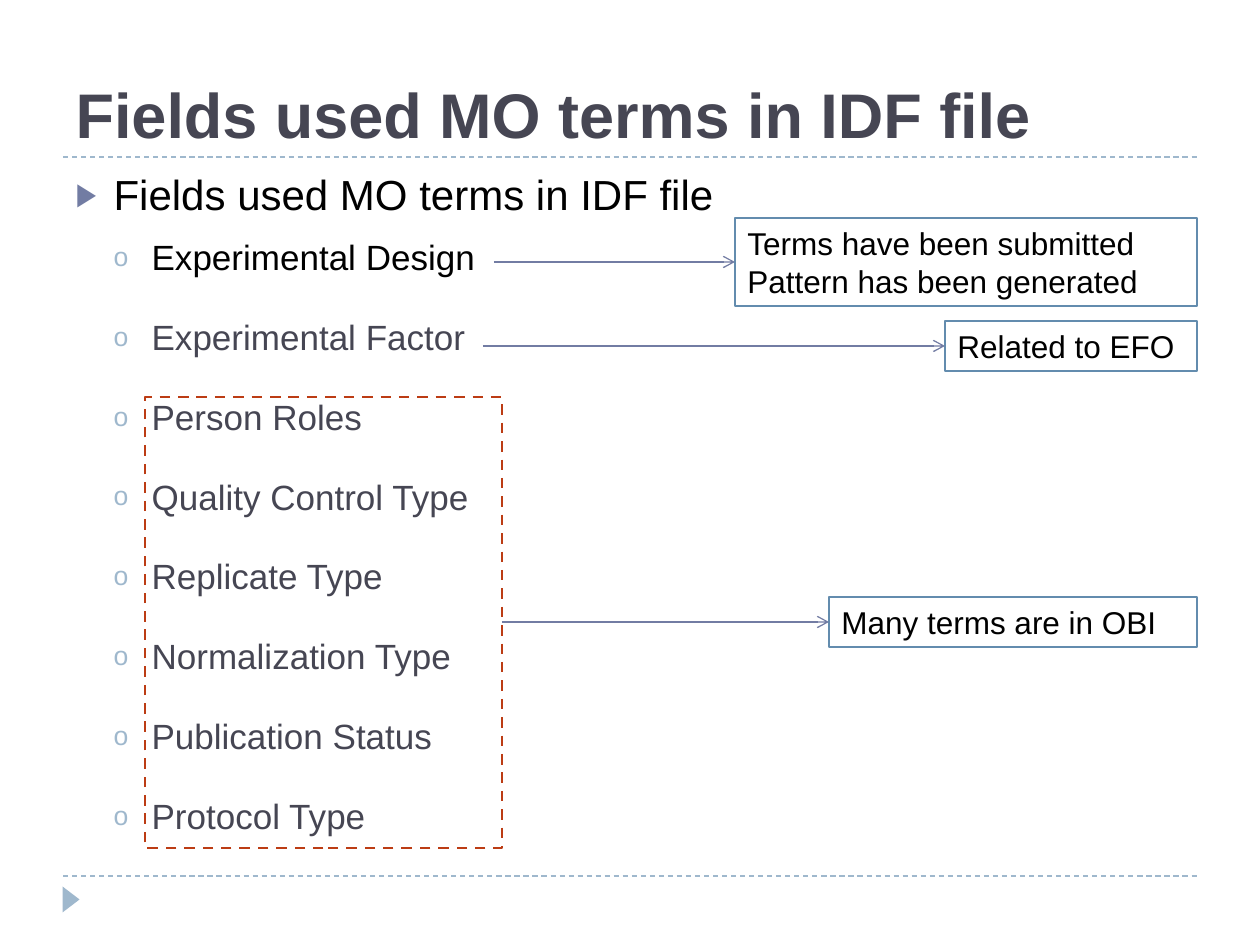
from lxml import etree
from pptx import Presentation
from pptx.dml.color import RGBColor
from pptx.enum.dml import MSO_LINE
from pptx.enum.shapes import MSO_CONNECTOR, MSO_SHAPE
from pptx.enum.text import MSO_ANCHOR, MSO_AUTO_SIZE, PP_ALIGN
from pptx.oxml.ns import qn
from pptx.util import Emu, Pt

PX = 914400 / 126
LEFT, RIGHT = 63, 1197
INK, BLACK, BLUE, PALE = "464653", "000000", "727CA3", "9FB8CD"
FIELDS = ["Experimental Design", "Experimental Factor", "Person Roles",
          "Quality Control Type", "Replicate Type", "Normalization Type",
          "Publication Status", "Protocol Type"]
# note lines, box left, top, height, arrow start
NOTES = [
    (["Many terms are in OBI"], 829, 597, 50, 502),
    (["Terms have been submitted", "Pattern has been generated"], 735, 218, 88, 494),
    (["Related to EFO"], 945, 321, 50, 483),
]


def px(n):
    return Emu(round(n * PX))


def rgb(color):
    return RGBColor.from_string(color)


def place(shape, x, y, w, h):
    shape.left, shape.top, shape.width, shape.height = map(px, (x, y, w, h))


def format_text(p, size, color, bold=False):
    p.alignment = PP_ALIGN.LEFT
    for r in p.runs:
        r.font.name, r.font.size, r.font.bold = "Arial", Pt(size), bold
        r.font.color.rgb = rgb(color)


def set_bullet(p, char, color, indent):
    """Give the paragraph a hanging bullet at 76% of the text size."""
    pPr = p._p.get_or_add_pPr()
    pPr.set("marL", str(px(indent)))
    pPr.set("indent", str(px(-38)))
    clr = etree.SubElement(pPr, qn("a:buClr"))
    etree.SubElement(clr, qn("a:srgbClr"), val=color)
    etree.SubElement(pPr, qn("a:buSzPct"), val="76000")
    etree.SubElement(pPr, qn("a:buFont"), typeface="Arial")
    etree.SubElement(pPr, qn("a:buChar"), char=char)


def add_line(s, x1, x2, y, color):
    line = s.shapes.add_connector(MSO_CONNECTOR.STRAIGHT, px(x1), px(y), px(x2), px(y))
    line.line.color.rgb = rgb(color)
    line.line.width = Pt(0.75)
    etree.SubElement(line._element.spPr, qn("a:effectLst"))
    return line


def add_rule(s, y):
    add_line(s, LEFT, RIGHT, y, PALE).line.dash_style = MSO_LINE.DASH


def add_arrow(s, x1, x2, y):
    line = add_line(s, x1, x2, y, BLUE)
    etree.SubElement(line.line._get_or_add_ln(), qn("a:tailEnd"), type="arrow")


def add_shape(s, kind, x, y, w, h):
    sp = s.shapes.add_shape(kind, px(x), px(y), px(w), px(h))
    sp.shadow.inherit = False
    return sp


def add_frame(s, x, y, w, h, color, width):
    sp = add_shape(s, MSO_SHAPE.RECTANGLE, x, y, w, h)
    sp.fill.background()
    sp.line.color.rgb = rgb(color)
    sp.line.width = Pt(width)
    return sp


def add_note(s, lines, x, y, h, start):
    """Add a boxed note with an arrow leading to its left edge."""
    tf = add_frame(s, x, y, RIGHT - x, h, "638CAE", 0.75).text_frame
    tf.word_wrap = True
    tf.vertical_anchor = MSO_ANCHOR.TOP
    tf.text = "\n".join(lines)
    for p in tf.paragraphs:
        format_text(p, 18, BLACK)
    add_arrow(s, start, x, y + h / 2)


def add_corner_marker(s):
    sp = add_shape(s, MSO_SHAPE.ISOSCELES_TRIANGLE, 58, 891, 26, 17)
    sp.rotation = 90
    sp.fill.solid()
    sp.fill.fore_color.rgb = rgb(PALE)
    sp.line.fill.background()


def fill_title(title, text):
    place(title, LEFT, 21, RIGHT - LEFT, 136)
    tf = title.text_frame
    tf.text = text
    tf.auto_size = MSO_AUTO_SIZE.NONE
    tf.vertical_anchor = MSO_ANCHOR.BOTTOM
    format_text(tf.paragraphs[0], 36, INK, bold=True)


def fill_list(body, heading, items):
    place(body, LEFT, 168, RIGHT - LEFT, 703)
    tf = body.text_frame
    tf.text = "\n".join([heading, *items])
    tf.auto_size = MSO_AUTO_SIZE.NONE
    for i, p in enumerate(tf.paragraphs):
        if i == 0:
            set_bullet(p, "▶", BLUE, 38)
            p.space_before = Pt(0)
        else:
            p.level = 1
            set_bullet(p, "o", PALE, 76)
            p.space_before = p.space_after = Pt(12)
        p.line_spacing = 0.9
        format_text(p, 20 if i else 24, INK if i > 1 else BLACK)


def main():
    prs = Presentation()
    prs.slide_width, prs.slide_height = px(1260), px(945)
    s = prs.slides.add_slide(prs.slide_layouts[1])
    heading = "Fields used MO terms in IDF file"
    fill_title(s.shapes.title, heading)
    fill_list(s.placeholders[1], heading, FIELDS)
    for y in (876, 157):
        add_rule(s, y)
    add_corner_marker(s)
    add_frame(s, 145, 397, 357, 451, "BC3C14", 1.5).line.dash_style = MSO_LINE.DASH
    for note in NOTES:
        add_note(s, *note)
    prs.save("out.pptx")


if __name__ == "__main__":
    main()
